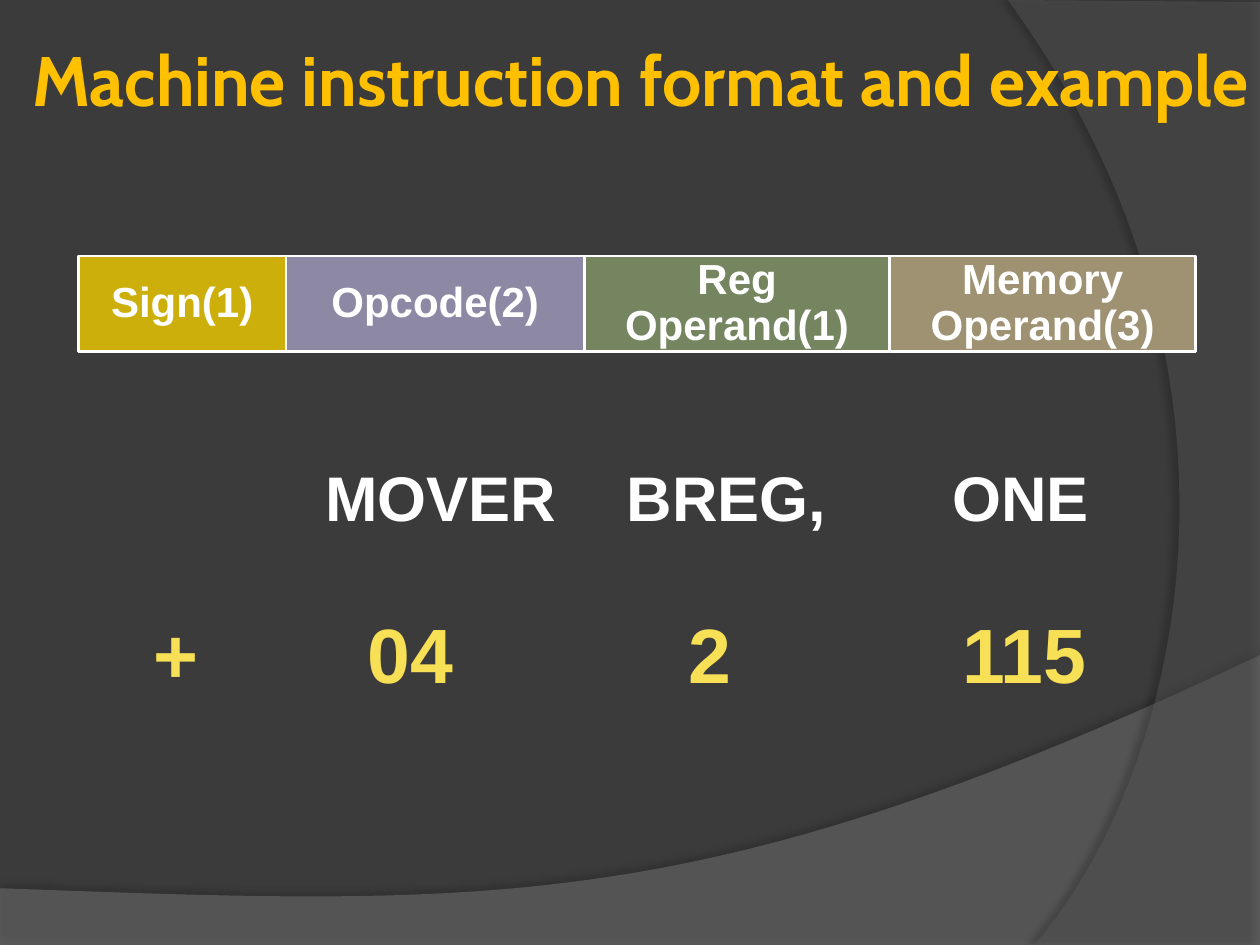
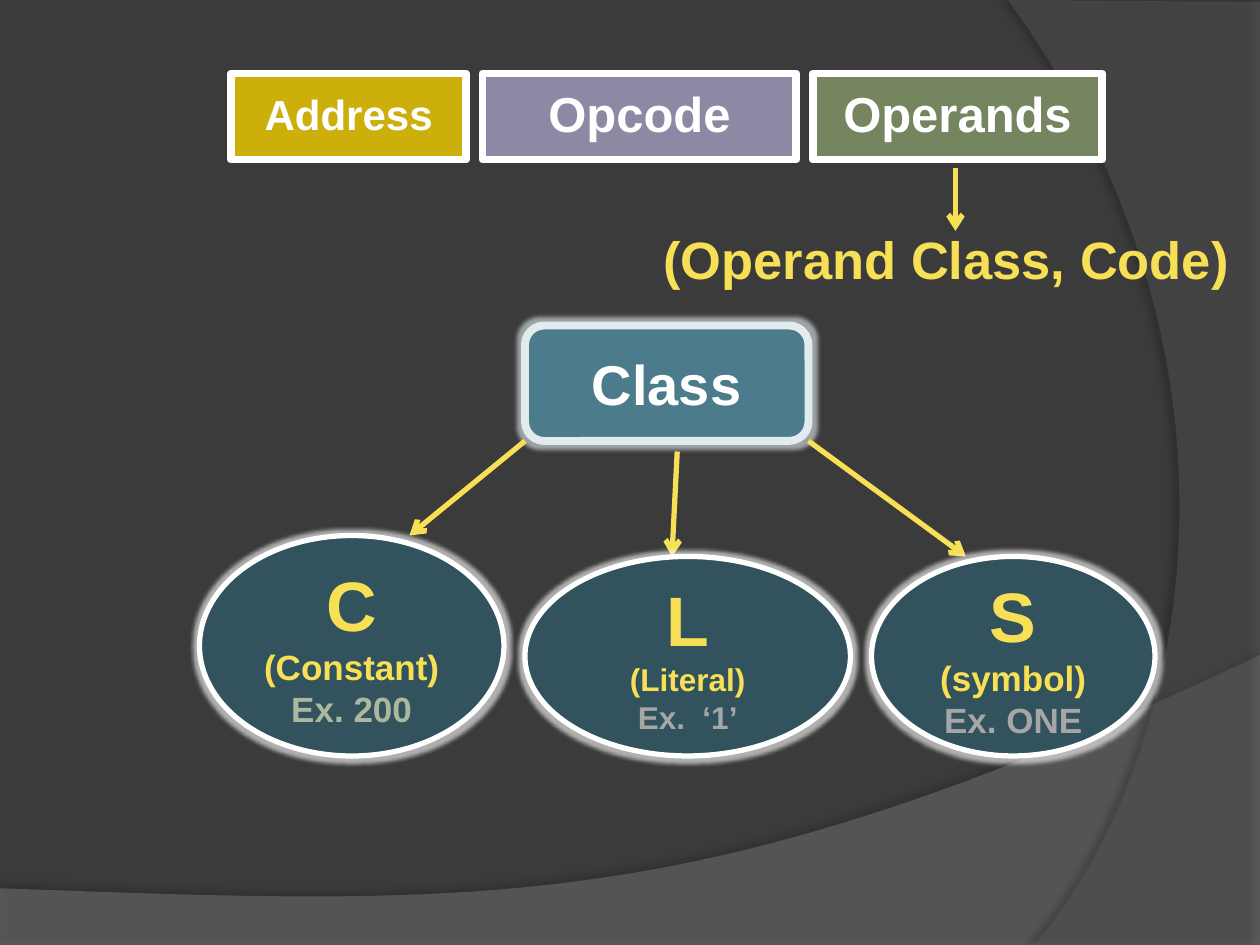
from lxml.etree import SubElement
from pptx import Presentation
from pptx.dml.color import RGBColor
from pptx.enum.shapes import MSO_CONNECTOR, MSO_SHAPE
from pptx.enum.text import MSO_ANCHOR, PP_ALIGN
from pptx.oxml.ns import qn
from pptx.util import Inches, Pt

COLORS = {
    "background": "3B3B3B", "lower_band": "7F7F7F", "side_band": "5E5E5E",
    "shadow": "000000", "title": "FFC000", "white": "FFFFFF", "yellow": "F7DF56",
    "gold": "CCAF0A", "violet": "8D89A4", "green": "748560", "sand": "9E9273",
    "teal": "4C7C8B", "pale": "E2ECEF", "dark_teal": "32525D",
    "sage": "ACB89D", "gray": "A6A6A6",
}
COLUMNS, ROWS = 120, 90
CURVE_STEPS = 40


def bezier(start, first, second, end):
    for step in range(CURVE_STEPS + 1):
        t = step / CURVE_STEPS
        weights = ((1 - t) ** 3, 3 * t * (1 - t) ** 2, 3 * t ** 2 * (1 - t), t ** 3)
        yield tuple(sum(weight * point[axis] for weight, point
                        in zip(weights, (start, first, second, end)))
                    for axis in (0, 1))


LOWER_BAND = [(0, ROWS), (COLUMNS, ROWS),
              *bezier((COLUMNS, 62.4), (67.1, 87.5), (46.9, 86.3), (0, 84.6))]
SIDE_BAND = [(COLUMNS, 0.2), (COLUMNS, ROWS),
             *bezier((98.5, ROWS), (112.2, 74.3), (122.2, 36), (96, 0))]


class Deck:
    font = "Arial"

    def __init__(self):
        self.presentation = Presentation()
        self.presentation.slide_width = Inches(10)
        self.presentation.slide_height = Inches(7.5)
        self.cell = self.presentation.slide_width / COLUMNS
        self.slide = None

    def grid(self, *lengths):
        return [round(length * self.cell) for length in lengths]

    def color(self, name):
        return RGBColor.from_string(COLORS[name])

    def add_slide(self):
        self.slide = self.presentation.slides.add_slide(self.presentation.slide_layouts[6])
        fill = self.slide.background.fill
        fill.solid()
        fill.fore_color.rgb = self.color("background")
        self.band(LOWER_BAND, "lower_band", 45, 35, 3.5, 270)
        self.band(SIDE_BAND, "side_band", 40, 45, 4, 180)

    def set_opacity(self, tone, percent):
        SubElement(tone, qn("a:alpha"), val=str(percent * 1000))

    def effect(self, shape, kind=None, color=None, opacity=100, **settings):
        effects = SubElement(shape._element.spPr, qn("a:effectLst"))
        if kind:
            values = {name: str(value) for name, value in settings.items()}
            effect = SubElement(effects, qn(f"a:{kind}"), values)
            tone = SubElement(effect, qn("a:srgbClr"), val=COLORS[color])
            self.set_opacity(tone, opacity)

    def band(self, points, color, opacity, shadow_opacity, distance, angle):
        start, *others = [self.grid(*point) for point in points]
        builder = self.slide.shapes.build_freeform(*start, scale=1.0)
        builder.add_line_segments(others, close=True)
        shape = builder.convert_to_shape()
        shape.fill.solid()
        shape.fill.fore_color.rgb = self.color(color)
        self.set_opacity(shape._element.spPr.find(qn("a:solidFill"))[0], opacity)
        shape.line.fill.background()
        self.effect(shape, "outerShdw", "shadow", shadow_opacity,
                    blurRad=Pt(4), dist=Pt(distance), dir=angle * 60000)

    def fill_text(self, frame, lines, align=PP_ALIGN.CENTER, spacing=None, font=None):
        frame.word_wrap = True
        for index, (text, size, color) in enumerate(lines):
            paragraph = frame.add_paragraph() if index else frame.paragraphs[0]
            paragraph.alignment = align
            paragraph.line_spacing = spacing
            run = paragraph.add_run()
            run.text = text
            run.font.name = font or self.font
            run.font.size = Pt(size)
            run.font.bold = True
            run.font.color.rgb = self.color(color)

    def text(self, place, text, size, color, tabs=(), **style):
        box = self.slide.shapes.add_textbox(*self.grid(*place))
        frame = box.text_frame
        self.fill_text(frame, [(text, size, color)], **style)
        if tabs:
            properties = frame.paragraphs[0]._p.get_or_add_pPr()
            stops = SubElement(properties, qn("a:tabLst"))
            for position in self.grid(*tabs):
                SubElement(stops, qn("a:tab"), pos=str(position), algn="l")
        return frame

    def title(self, text):
        frame = self.text((1, 0, 120, 15), text, 40, "title", font="Cabin")
        frame.vertical_anchor = MSO_ANCHOR.MIDDLE
        frame.margin_left = frame.margin_right = Inches(0.05)

    def node(self, kind, place, fill, line, width, lines, glow=True, spacing=None):
        shape = self.slide.shapes.add_shape(kind, *self.grid(*place))
        shape.fill.solid()
        shape.fill.fore_color.rgb = self.color(fill)
        shape.line.color.rgb = self.color(line)
        shape.line.width = Pt(width)
        if glow:
            self.effect(shape, "glow", line, 60, rad=Pt(5))
        else:
            self.effect(shape)
        shape.text_frame.vertical_anchor = MSO_ANCHOR.MIDDLE
        self.fill_text(shape.text_frame, lines, spacing=spacing)

    def field_row(self, left, top, height, gap, border, fields):
        for text, width, size, fill in fields:
            self.node(MSO_SHAPE.RECTANGLE, (left, top, width, height), fill, "white",
                      border, [(text, size, "white")], glow=False, spacing=0.9)
            left += width + gap

    def operand_class(self, place, letter, meaning, example, size, example_color):
        self.node(MSO_SHAPE.OVAL, place, "dark_teal", "white", 3,
                  [(letter, 40, "yellow"), (meaning, size, "yellow"),
                   (example, size, example_color)])

    def arrow(self, *ends):
        connector = self.slide.shapes.add_connector(MSO_CONNECTOR.STRAIGHT, *self.grid(*ends))
        connector.line.color.rgb = self.color("yellow")
        connector.line.width = Pt(3)
        outline = connector._element.spPr.find(qn("a:ln"))
        SubElement(outline, qn("a:tailEnd"), type="arrow")
        self.effect(connector)


def instruction_format(deck):
    deck.add_slide()
    deck.title("Machine instruction format and example")
    deck.field_row(7.45, 24.4, 9.1, 0, 1.5, [
        ("Sign(1)", 19.8, 24, "gold"),
        ("Opcode(2)", 28.4, 24, "violet"),
        ("Reg Operand(1)", 29.1, 24, "green"),
        ("Memory Operand(3)", 29.1, 24, "sand"),
    ])
    deck.text((29.8, 43.1, 90, 8.5), "MOVER\tBREG,\tONE", 36, "white",
              tabs=(28.7, 59.7), align=PP_ALIGN.LEFT)
    deck.text((7.45, 57.2, 106, 10.1), "\t+\t04\t2\t115", 44, "yellow",
              tabs=(6, 26.4, 56.9, 83), align=PP_ALIGN.LEFT)


def operand_classes(deck):
    deck.add_slide()
    deck.text((62, 21, 58, 11), "(Operand Class, Code)", 30, "yellow", align=PP_ALIGN.LEFT)
    deck.node(MSO_SHAPE.ROUNDED_RECTANGLE, (50, 31, 27, 11), "teal", "pale", 4.5,
              [("Class", 32, "white")])
    for ends in ((77, 42, 92, 53), (50, 42, 39, 51), (64.5, 43, 64, 53), (91, 16, 91, 22)):
        deck.arrow(*ends)
    deck.operand_class((19, 51, 29, 21), "C", "(Constant)", "Ex. 200", 20, "sage")
    deck.operand_class((50, 53, 31, 19), "L", "(Literal)", "Ex.  ‘1’", 18, "gray")
    deck.operand_class((83, 53, 27, 19), "S", "(symbol)", "Ex. ONE", 20, "gray")
    deck.field_row(22, 7, 8.2, 1.55, 4.5, [
        ("Address", 22.4, 24, "gold"),
        ("Opcode", 29.9, 28, "violet"),
        ("Operands", 27.6, 28, "green"),
    ])


def main():
    deck = Deck()
    instruction_format(deck)
    operand_classes(deck)
    deck.presentation.save("out.pptx")


if __name__ == "__main__":
    main()
